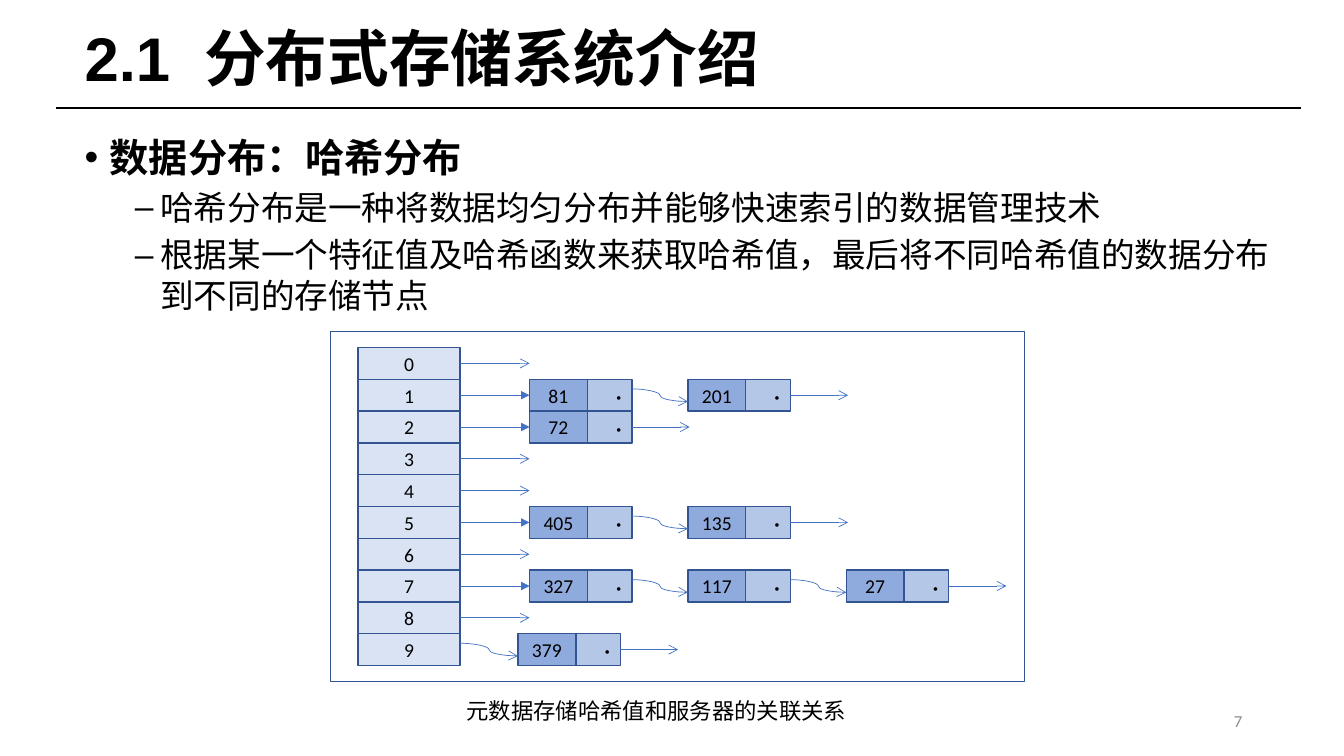
from dataclasses import dataclass

from lxml import etree
from pptx import Presentation
from pptx.dml.color import RGBColor
from pptx.enum.shapes import MSO_CONNECTOR, MSO_SHAPE
from pptx.enum.text import MSO_ANCHOR, PP_ALIGN
from pptx.oxml.ns import qn
from pptx.util import Inches, Pt

RECT = MSO_SHAPE.RECTANGLE
STRAIGHT, CURVE = MSO_CONNECTOR.STRAIGHT, MSO_CONNECTOR.CURVE
MIDDLE, TOP = MSO_ANCHOR.MIDDLE, MSO_ANCHOR.TOP
LEFT, CENTER, RIGHT = PP_ALIGN.LEFT, PP_ALIGN.CENTER, PP_ALIGN.RIGHT
SIDE_LEFT, SIDE_RIGHT = 1, 3


@dataclass(frozen=True)
class Theme:
    ink: str = "000000"
    muted: str = "8C8C8C"
    outline: str = "325491"
    arrow: str = "4472C4"
    bucket: str = "DAE3F3"
    key: str = "8FAADC"
    pointer: str = "B4C7E7"
    title_font: str = "Arial"
    body_font: str = "Calibri"
    caption_font: str = "Noto Sans CJK SC"
    title_size: int = 44
    head_size: int = 28
    point_size: int = 24
    dot_size: int = 18
    caption_size: int = 16
    cell_size: int = 14
    number_size: int = 12


T = Theme()
WIDTH, HEIGHT = 13.33, 7.5
TITLE = "2.1 分布式存储系统介绍"
HEADING = "数据分布：哈希分布"
POINTS = [
    "哈希分布是一种将数据均匀分布并能够快速索引的数据管理技术",
    "根据某一个特征值及哈希函数来获取哈希值，最后将不同哈希值的数据分布到不同的存储节点",
]
CAPTION = "元数据存储哈希值和服务器的关联关系"
BUCKETS = 10
CHAINS = {1: ["81", "201"], 2: ["72"], 5: ["405", "135"],
          7: ["327", "117", "27"], 9: ["379"]}
CURVED_BUCKET = 9


def style_run(r, size, font, color=T.ink, bold=False):
    r.font.size, r.font.bold, r.font.name = Pt(size), bold, font
    r.font.color.rgb = RGBColor.from_string(color)
    etree.SubElement(r._r.get_or_add_rPr(), qn("a:ea"), typeface=font)


def add_text(slide, box, text, size, font, align=LEFT, anchor=TOP, wrap=True,
             **look):
    tf = slide.shapes.add_textbox(*map(Inches, box)).text_frame
    tf.word_wrap, tf.vertical_anchor = wrap, anchor
    p = tf.paragraphs[0]
    p.text, p.alignment = text, align
    style_run(p.runs[0], size, font, **look)
    return p


def add_box(slide, box, fill=None):
    sp = slide.shapes.add_shape(RECT, *map(Inches, box))
    sp.shadow.inherit = False
    sp.line.color.rgb = RGBColor.from_string(T.outline)
    sp.line.width = Pt(1)
    if fill:
        sp.fill.solid()
        sp.fill.fore_color.rgb = RGBColor.from_string(fill)
    else:
        sp.fill.background()
    return sp


def add_cell(slide, box, fill, text, size=T.cell_size, align=CENTER):
    sp = add_box(slide, box, fill)
    tf = sp.text_frame
    tf.vertical_anchor = MIDDLE
    p = tf.paragraphs[0]
    p.text, p.alignment = text, align
    style_run(p.runs[0], size, T.body_font)
    return sp


def add_line(slide, kind, start, end, color=T.arrow, width=0.5, head=None):
    c = slide.shapes.add_connector(kind, *map(Inches, (*start, *end)))
    c.line.color.rgb = RGBColor.from_string(color)
    c.line.width = Pt(width)
    if head:
        etree.SubElement(c.line._get_or_add_ln(), qn("a:tailEnd"), type=head)
    etree.SubElement(c._element.spPr, qn("a:effectLst"))
    return c


def title_region(slide, box):
    x, y, w, h = box
    add_line(slide, STRAIGHT, (x - 0.18, y + h), (x + w + 0.21, y + h),
             T.ink, 1.75)
    number, name = TITLE.split(" ")
    p = add_text(slide, box, number, T.title_size, T.title_font,
                 anchor=MIDDLE, bold=True)
    p.line_spacing = 0.9
    for part in (" ", name):
        r = p.add_run()
        r.text = part
        style_run(r, T.title_size, T.title_font, bold=True)
    # Widen the gap between section number and name
    p.runs[1]._r.get_or_add_rPr().set("spc", "1200")


def body_region(slide, box):
    tf = slide.shapes.add_textbox(*map(Inches, box)).text_frame
    tf.word_wrap = True
    for i, text in enumerate([HEADING, *POINTS]):
        p = tf.add_paragraph() if i else tf.paragraphs[0]
        p.text, p.level = text, min(i, 1)
        pPr = p._p.get_or_add_pPr()
        pPr.set("marL", str(Inches(0.75 if i else 0.25)))
        pPr.set("indent", str(Inches(-0.25)))
        etree.SubElement(pPr, qn("a:buFont"), typeface="Arial")
        etree.SubElement(pPr, qn("a:buChar"), char="–" if i else "•")
        p.space_before = Pt(5 if i else 0)
        style_run(p.runs[0], T.point_size if i else T.head_size, T.body_font,
                  bold=i == 0)


def hash_table_region(slide, box):
    """Buckets down the left, each followed by its chain of nodes."""
    x, y, w, h = box
    col, row = w / 12, h / 11
    pointer_w = 0.77 * col
    cell_w = col + pointer_w
    pitch = 2.74 * col
    bucket_x, chain_x = x + 0.47 * col, x + 3.44 * col

    def link(start_x, end_x, mid):
        add_line(slide, CURVE, (start_x, mid - 0.2 * row),
                 (end_x, mid + 0.2 * row), head="arrow")

    for i in range(BUCKETS):
        top = y + (i + 0.5) * row
        mid = top + row / 2
        curved = i == CURVED_BUCKET
        first_x = chain_x - (0.2 * col if curved else 0)
        bucket = add_cell(slide, (bucket_x, top, cell_w, row), T.bucket, str(i))
        chain = CHAINS.get(i, [])
        for n, value in enumerate(chain):
            left = first_x + n * pitch
            key = add_cell(slide, (left, top, col, row), T.key, value)
            pointer = add_cell(slide, (left + col, top, pointer_w, row),
                               T.pointer, "·", T.dot_size, RIGHT)
            if n:
                link(left - pitch + cell_w, left, mid)
            elif curved:
                link(bucket_x + cell_w, left, mid)
            else:
                c = add_line(slide, STRAIGHT, (bucket_x + cell_w, mid),
                             (left, mid), head="triangle")
                c.begin_connect(bucket, SIDE_RIGHT)
                c.end_connect(key, SIDE_LEFT)
        last = pointer if chain else bucket
        start_x = (first_x + (len(chain) - 1) * pitch if chain
                   else bucket_x) + cell_w
        end_x = start_x + col if chain else chain_x
        c = add_line(slide, STRAIGHT, (start_x, mid), (end_x, mid), head="arrow")
        c.begin_connect(last, SIDE_RIGHT)
    add_box(slide, box)


def footer_region(slide, box):
    x, y, w, h = box
    add_text(slide, (x, y, 4.02, 0.37), CAPTION, T.caption_size,
             T.caption_font, wrap=False)
    add_text(slide, (x + w - 3, y + 0.08, 3, 0.4), "7", T.number_size,
             T.body_font, RIGHT, MIDDLE, color=T.muted)


def main():
    prs = Presentation()
    prs.slide_width, prs.slide_height = Inches(WIDTH), Inches(HEIGHT)
    slide = prs.slides.add_slide(prs.slide_layouts[6])
    title_region(slide, (0.74, 0.15, 11.95, 0.92))
    body_region(slide, (0.74, 1.27, 11.95, 2))
    hash_table_region(slide, (3.28, 3.29, 6.88, 3.47))
    footer_region(slide, (4.53, 6.87, 7.89, 0.48))
    prs.save("out.pptx")


if __name__ == "__main__":
    main()
